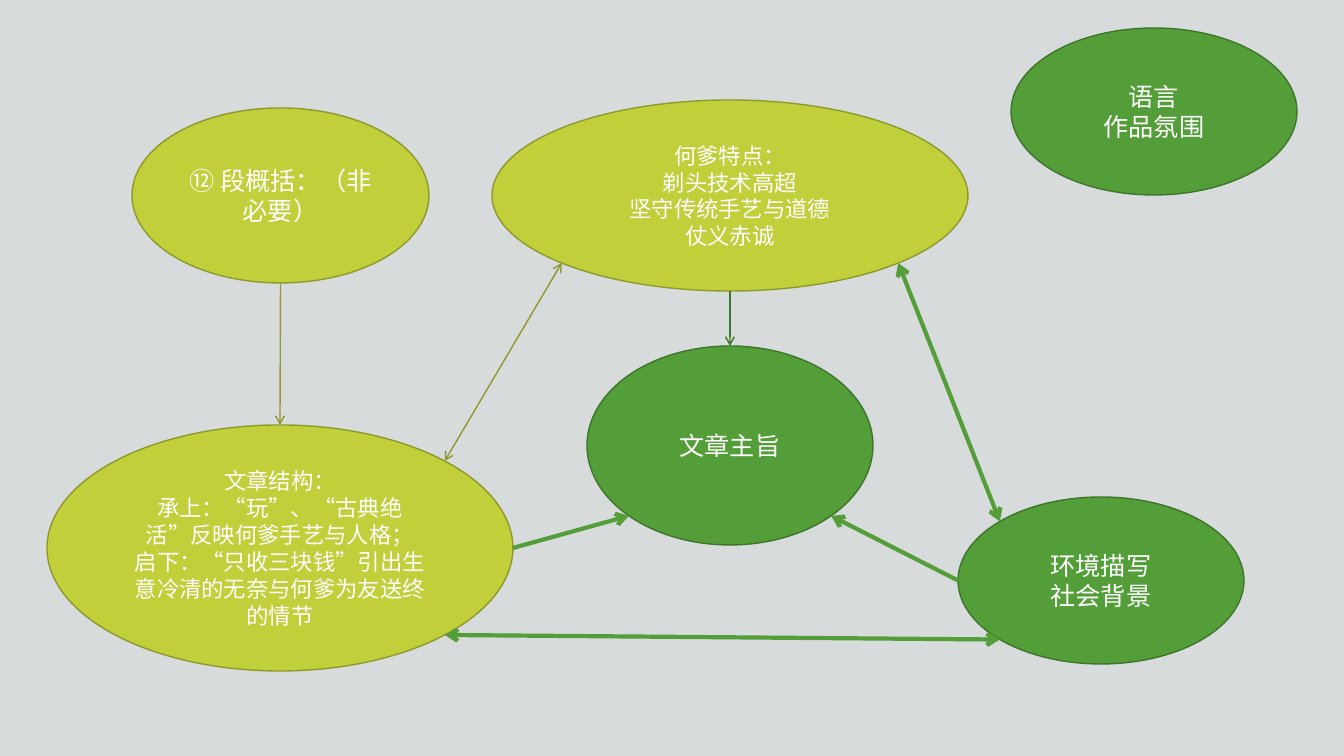
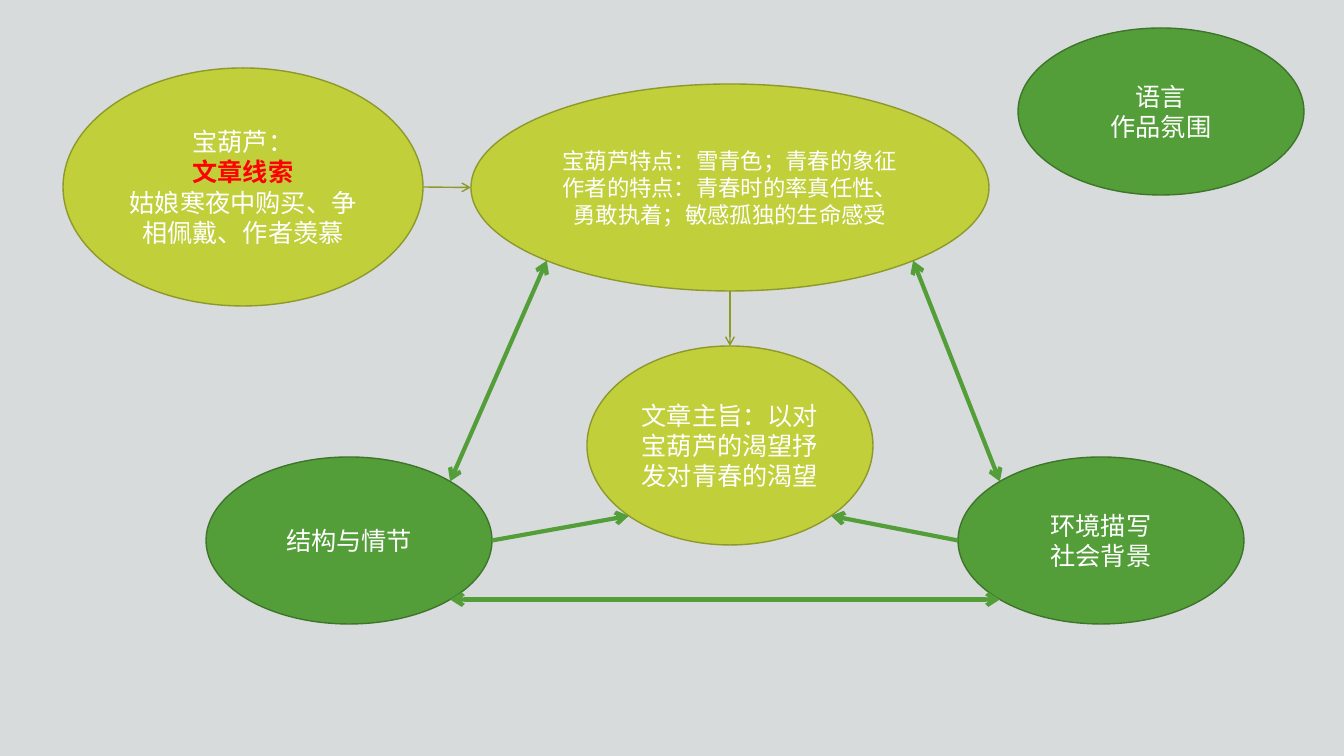
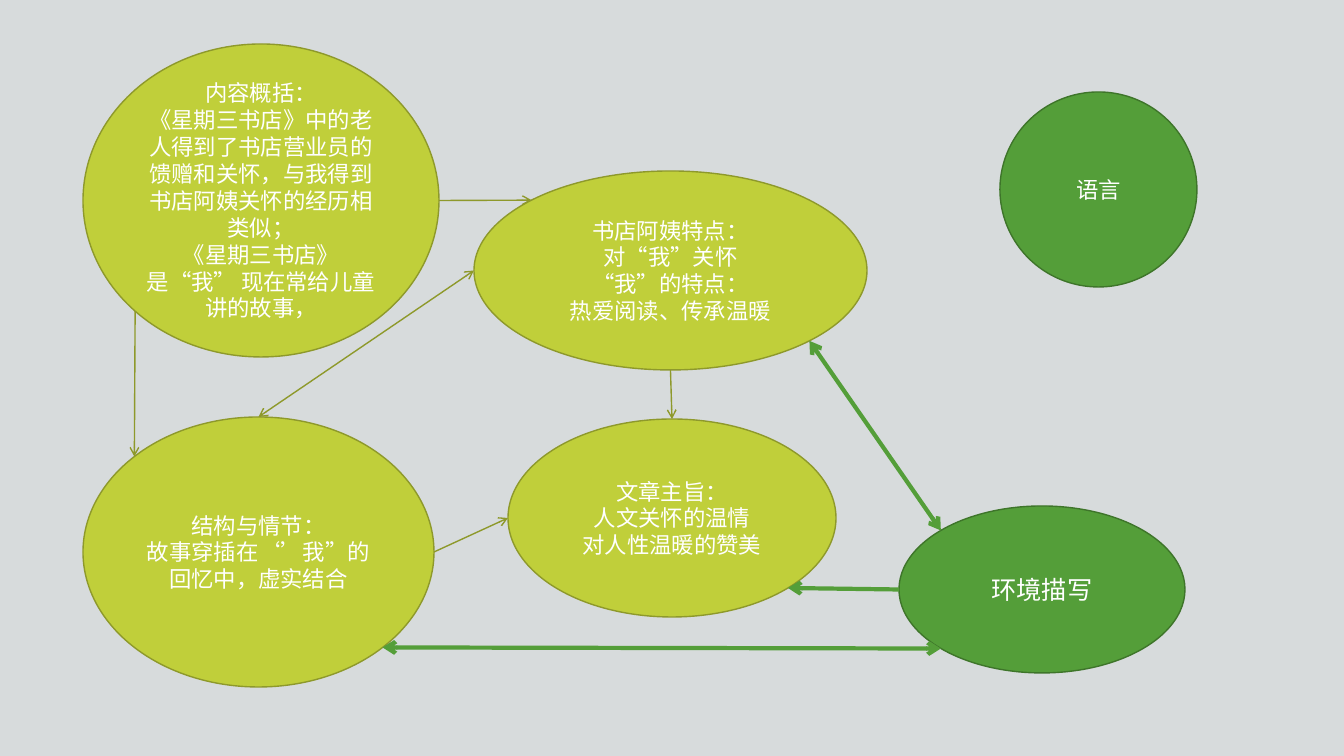
from dataclasses import dataclass
from math import cos, pi, sin

from lxml import etree
from pptx import Presentation
from pptx.dml.color import RGBColor
from pptx.enum.shapes import MSO_CONNECTOR, MSO_SHAPE
from pptx.enum.text import MSO_ANCHOR, PP_ALIGN
from pptx.oxml.ns import qn
from pptx.shapes.autoshape import Shape
from pptx.slide import Slide
from pptx.util import Emu, Pt

OVAL = MSO_SHAPE.OVAL
STRAIGHT = MSO_CONNECTOR.STRAIGHT
CENTER = PP_ALIGN.CENTER
MIDDLE = MSO_ANCHOR.MIDDLE

# Connection sites of an oval, counter-clockwise from the top
TOP, NW, WEST, SW, SOUTH, SE, EAST, NE = range(8)

WIDE, HIGH = 1344, 756
SCALE = 12192000 / WIDE


@dataclass(frozen=True)
class Theme:
    back: str = "D7DBDC"
    green: str = "549E39"
    pine: str = "3E752A"
    lime: str = "C0CF3A"
    olive: str = "8E992B"
    white: str = "FFFFFF"
    red: str = "FF0000"
    narrow: str = "Arial Narrow"
    sans: str = "Noto Sans CJK SC"
    large: int = 18
    small: int = 16
    thin: int = 1
    thick: int = 3


THEME = Theme()


@dataclass(frozen=True)
class Style:
    fill: str
    edge: str


@dataclass(frozen=True)
class Pen:
    color: str
    width: int


OPEN = Style(THEME.green, THEME.pine)
DONE = Style(THEME.lime, THEME.olive)
BOLD = Pen(THEME.green, THEME.thick)
FINE = Pen(THEME.olive, THEME.thin)
DARK = Pen(THEME.pine, THEME.thin)


@dataclass(frozen=True)
class Line:
    text: str
    face: str = THEME.narrow
    color: str = THEME.white
    bold: bool = False


@dataclass(frozen=True)
class Topic:
    left: int
    top: int
    lines: tuple[Line, ...]
    width: int = 286
    height: int = 167
    style: Style = OPEN
    size: int = THEME.large


@dataclass(frozen=True)
class Link:
    start: str
    out: int
    end: str
    into: int
    pen: Pen = BOLD
    both: bool = False


@dataclass(frozen=True)
class Page:
    topics: dict[str, Topic]
    links: tuple[Link, ...]


def rows(*texts: str, face: str = THEME.narrow) -> tuple[Line, ...]:
    return tuple(Line(text, face) for text in texts)


def px(value: float) -> Emu:
    return Emu(round(value * SCALE))


def rgb(color: str) -> RGBColor:
    return RGBColor.from_string(color)


# Drawing
def draw_topic(slide: Slide, topic: Topic) -> Shape:
    shape = slide.shapes.add_shape(
        OVAL, px(topic.left), px(topic.top), px(topic.width), px(topic.height))
    shape.shadow.inherit = False
    shape.fill.solid()
    shape.fill.fore_color.rgb = rgb(topic.style.fill)
    shape.line.color.rgb = rgb(topic.style.edge)
    shape.line.width = Pt(THEME.thin)
    frame = shape.text_frame
    frame.word_wrap = True
    frame.vertical_anchor = MIDDLE
    for i, line in enumerate(topic.lines):
        para = frame.add_paragraph() if i else frame.paragraphs[0]
        para.text = line.text
        para.alignment = CENTER
        font = para.font
        font.name = line.face
        font.size = Pt(topic.size)
        font.bold = line.bold
        font.color.rgb = rgb(line.color)
    return shape


def site_point(topic: Topic, site: int) -> tuple[Emu, Emu]:
    angle = pi / 2 + site * pi / 4
    return (px(topic.left + topic.width / 2 * (1 + cos(angle))),
            px(topic.top + topic.height / 2 * (1 - sin(angle))))


def draw_link(slide: Slide, link: Link, page: Page, shapes: dict[str, Shape]) -> None:
    wire = slide.shapes.add_connector(
        STRAIGHT,
        *site_point(page.topics[link.start], link.out),
        *site_point(page.topics[link.end], link.into))
    wire.line.color.rgb = rgb(link.pen.color)
    wire.line.width = Pt(link.pen.width)
    # Join the ends to the eight sites of an oval
    joint = wire._element.find(".//" + qn("p:cNvCxnSpPr"))
    for tag, name, site in (("a:stCxn", link.start, link.out),
                            ("a:endCxn", link.end, link.into)):
        etree.SubElement(joint, qn(tag), id=str(shapes[name].shape_id), idx=str(site))
    # Arrowheads, and no shadow
    stroke = wire.line._get_or_add_ln()
    for tag in ("a:headEnd", "a:tailEnd") if link.both else ("a:tailEnd",):
        etree.SubElement(stroke, qn(tag), type="arrow")
    etree.SubElement(wire._element.spPr, qn("a:effectLst"))


def draw_page(slide: Slide, page: Page) -> None:
    shapes = {name: draw_topic(slide, topic) for name, topic in page.topics.items()}
    for link in page.links:
        draw_link(slide, link, page, shapes)


# Content
SCENE = rows("环境描写", "社会背景")
TONE = rows("语言", "作品氛围")

BARBER = Page(
    {
        "theme": Topic(587, 346, rows("文章主旨"), height=199),
        "plot": Topic(47, 425, rows(
            "文章结构：",
            "承上：“玩”、“古典绝活”反映何爹手艺与人格；",
            "启下：“只收三块钱”引出生意冷清的无奈与何爹为友送终的情节",
        ), 466, 246, DONE, THEME.small),
        "scene": Topic(958, 497, SCENE),
        "traits": Topic(492, 100, rows(
            "何爹特点：", "剃头技术高超", "坚守传统手艺与道德", "仗义赤诚",
            face=THEME.sans), 476, 191, DONE, THEME.small),
        "digest": Topic(132, 108, rows("⑫ 段概括：（非必要）"), 297, 175, DONE),
        "tone": Topic(1011, 28, TONE),
    },
    (
        Link("scene", WEST, "theme", SE),
        Link("plot", EAST, "theme", SW),
        Link("traits", SOUTH, "theme", TOP, DARK),
        Link("traits", SW, "plot", NE, FINE, True),
        Link("traits", SE, "scene", NW, both=True),
        Link("scene", SW, "plot", SE, both=True),
        Link("digest", SOUTH, "plot", TOP, FINE),
    ),
)

GOURD = Page(
    {
        "theme": Topic(587, 346, rows("文章主旨：以对宝葫芦的渴望抒发对青春的渴望"),
                       height=199, style=DONE),
        "scene": Topic(958, 457, SCENE),
        "traits": Topic(471, 84, rows(
            "宝葫芦特点：雪青色；青春的象征",
            "作者的特点：青春时的率真任性、勇敢执着；敏感孤独的生命感受",
            face=THEME.sans), 518, 207, DONE, THEME.small),
        "digest": Topic(63, 68, (
            Line("宝葫芦："),
            Line("文章线索", color=THEME.red, bold=True),
            Line("姑娘寒夜中购买、争相佩戴、作者羡慕"),
        ), 360, 238, DONE),
        "tone": Topic(1018, 28, TONE),
        "plot": Topic(206, 457, rows("结构与情节")),
    },
    (
        Link("scene", WEST, "theme", SE),
        Link("plot", EAST, "theme", SW),
        Link("traits", SOUTH, "theme", TOP, FINE),
        Link("traits", SE, "scene", NW, both=True),
        Link("scene", SW, "plot", SE, both=True),
        Link("digest", EAST, "traits", WEST, FINE),
        Link("traits", SW, "plot", NE, both=True),
    ),
)

STORE = Page(
    {
        "theme": Topic(508, 419, rows("文章主旨：", "人文关怀的温情", "对人性温暖的赞美"),
                       328, 198, DONE, THEME.small),
        "scene": Topic(899, 506, rows("环境描写")),
        "traits": Topic(474, 171, rows(
            "书店阿姨特点：", "对“我”关怀", "“我”的特点：", "热爱阅读、传承温暖",
            face=THEME.sans), 393, 199, DONE, THEME.small),
        "digest": Topic(83, 44, rows("内容概括：") + rows(
            "《星期三书店》中的老人得到了书店营业员的馈赠和关怀，与我得到书店阿姨关怀的经历相类似；",
            "《星期三书店》是“我” 现在常给儿童讲的故事，",
            face=THEME.sans), 356, 313, DONE, THEME.small),
        "tone": Topic(1000, 92, rows("语言"), 197, 195, size=THEME.small),
        "plot": Topic(83, 417, rows("结构与情节：", "故事穿插在‘’我”的回忆中，虚实结合"),
                      351, 270, DONE, THEME.small),
    },
    (
        Link("scene", WEST, "theme", SE),
        Link("plot", EAST, "theme", WEST, FINE),
        Link("traits", SOUTH, "theme", TOP, FINE),
        Link("traits", SE, "scene", NW, both=True),
        Link("scene", SW, "plot", SE, both=True),
        Link("traits", WEST, "plot", TOP, FINE, True),
        Link("digest", SW, "plot", NW, FINE),
        Link("digest", EAST, "traits", NW, FINE),
    ),
)


def main() -> None:
    deck = Presentation()
    deck.slide_width, deck.slide_height = px(WIDE), px(HIGH)
    # Shared background
    fill = deck.slide_master.background.fill
    fill.solid()
    fill.fore_color.rgb = rgb(THEME.back)
    for page in (BARBER, GOURD, STORE):
        draw_page(deck.slides.add_slide(deck.slide_layouts[6]), page)
    deck.save("out.pptx")


if __name__ == "__main__":
    main()
